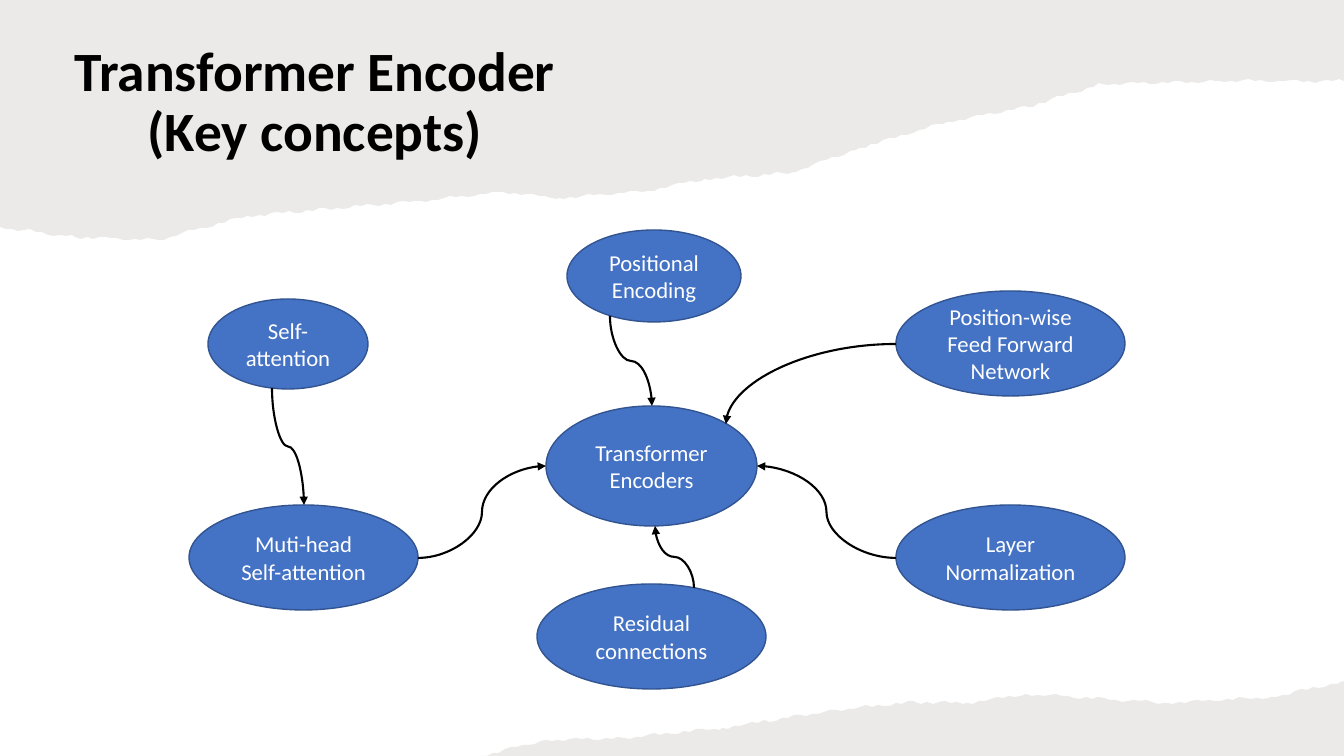
from math import sin, sqrt

from lxml import etree
from pptx import Presentation
from pptx.dml.color import RGBColor
from pptx.enum.shapes import MSO_CONNECTOR, MSO_SHAPE
from pptx.enum.text import MSO_ANCHOR, PP_ALIGN
from pptx.oxml.ns import qn
from pptx.util import Pt

PX = 9072
WIDTH, HEIGHT = 1344, 756
TEAR_STEP = 6
CURVE = MSO_CONNECTOR.CURVE
OVAL = MSO_SHAPE.OVAL
MIDDLE = MSO_ANCHOR.MIDDLE
CENTER = PP_ALIGN.CENTER


def color(value):
    return RGBColor.from_string(value)


def write_text(box, text, size, fill, bold=False, line_spacing=1.0, space_after=0):
    frame = box.text_frame
    frame.word_wrap = True
    frame.vertical_anchor = MIDDLE
    frame.text = text
    para = frame.paragraphs[0]
    para.alignment = CENTER
    para.line_spacing = line_spacing
    para.space_after = Pt(space_after)
    for span in para.runs:
        span.font.name = "Calibri"
        span.font.size = Pt(size)
        span.font.bold = bold
        span.font.color.rgb = color(fill)


deck = Presentation()
deck.slide_width = WIDTH * PX
deck.slide_height = HEIGHT * PX
page = deck.slides.add_slide(deck.slide_layouts[6])

top_bends = [
    (0, 227), (75, 237), (158, 240), (247, 216), (420, 201), (503, 192),
    (558, 198), (648, 191), (704, 179), (790, 173), (859, 148), (947, 122),
    (1027, 107), (1102, 84), (1219, 81), (WIDTH, 81),
]
bottom_bends = [
    (481, HEIGHT), (546, 740), (624, 738), (722, 728), (836, 710), (915, 702),
    (967, 703), (1026, 694), (1167, 703), (1271, 697), (WIDTH, 682),
]
papers = [
    (top_bends, [(WIDTH, 0), (0, 0)]),
    (bottom_bends, [(WIDTH, HEIGHT)]),
]
for bends, corners in papers:
    outline = []
    for (x1, y1), (x2, y2) in zip(bends, bends[1:]):
        for x in range(x1, x2, TEAR_STEP):
            slope_y = y1 + (y2 - y1) * (x - x1) / (x2 - x1)
            ripple = sin((x - x1) * 0.4) + sin((x - x1) * 0.15)
            outline.append((x, round(slope_y + ripple)))
    outline += [bends[-1], *corners]

    builder = page.shapes.build_freeform(*outline[0], scale=PX)
    builder.add_line_segments(outline[1:], close=True)
    paper = builder.convert_to_shape()
    paper.shadow.inherit = False
    paper.fill.solid()
    paper.fill.fore_color.rgb = color("82766A")
    paper.line.fill.background()
    paper_color = paper._element.spPr.find(qn("a:solidFill"))[0]
    etree.SubElement(paper_color, qn("a:alpha"), val="15000")

title = page.shapes.add_textbox(42 * PX, 51 * PX, 546 * PX, 105 * PX)
write_text(title, "Transformer Encoder\v(Key concepts)", size=39.6, fill="000000",
           bold=True, line_spacing=0.9)

wide_oval = (229, 105)
right_column, lower_row = 896, 505
concepts = {
    "encoders": ("Transformer Encoders", 546, 406, 211, 120),
    "multi-head": ("Muti-head Self-attention", 189, lower_row, *wide_oval),
    "positional": ("Positional Encoding", 567, 230, 174, 92),
    "attention": ("Self- attention", 208, 299, 160, 90),
    "residual": ("Residual connections", 537, 584, *wide_oval),
    "feed forward": ("Position-wise Feed Forward Network", right_column, 291, *wide_oval),
    "normalization": ("Layer Normalization", right_column, lower_row, *wide_oval),
}
for text, left, top, width, height in concepts.values():
    oval = page.shapes.add_shape(OVAL, left * PX, top * PX, width * PX, height * PX)
    oval.shadow.inherit = False
    oval.fill.solid()
    oval.fill.fore_color.rgb = color("4472C4")
    oval.line.color.rgb = color("325491")
    oval.line.width = Pt(1)
    write_text(oval, text, size=16.2, fill="FFFFFF", space_after=6)

LEFT, RIGHT, MID = -1, 1, 0
UP, DOWN = -1, 1
arrows = [
    ("vertical", ("attention", -0.2, DOWN), ("multi-head", MID, UP)),
    ("horizontal", ("multi-head", RIGHT, UP), ("encoders", LEFT, UP)),
    ("vertical", ("positional", -0.5, DOWN), ("encoders", MID, UP)),
    ("vertical", ("residual", 0.37, UP), ("encoders", 0.03, DOWN)),
    ("horizontal", ("normalization", LEFT, UP), ("encoders", RIGHT, UP)),
    ("corner", ("feed forward", LEFT, UP), ("encoders", 0.71, UP)),
]
for route, *ends in arrows:
    rim_points = []
    for concept, across, side in ends:
        text, left, top, width, height = concepts[concept]
        rim_x = left + width / 2 * (1 + across)
        rim_y = top + height / 2 * (1 + side * sqrt(1 - across ** 2))
        rim_points += [round(rim_x) * PX, round(rim_y) * PX]
    x1, y1, x2, y2 = rim_points

    if route == "vertical":
        sum_x, sum_y, run, rise = x1 + x2, y1 + y2, x2 - x1, y2 - y1
        x1, y1 = (sum_x + rise) // 2, (sum_y - run) // 2
        x2, y2 = (sum_x - rise) // 2, (sum_y + run) // 2
    arrow = page.shapes.add_connector(CURVE, x1, y1, x2, y2)
    arrow.line.color.rgb = color("000000")
    arrow.line.width = Pt(1.5)
    properties = arrow._element.spPr
    if route == "vertical":
        properties.find(qn("a:xfrm")).set("rot", "16200000")
    if route == "corner":
        properties.find(qn("a:prstGeom")).set("prst", "curvedConnector2")
    etree.SubElement(properties.find(qn("a:ln")), qn("a:tailEnd"), type="triangle")
    etree.SubElement(properties, qn("a:effectLst"))

deck.save("out.pptx")
